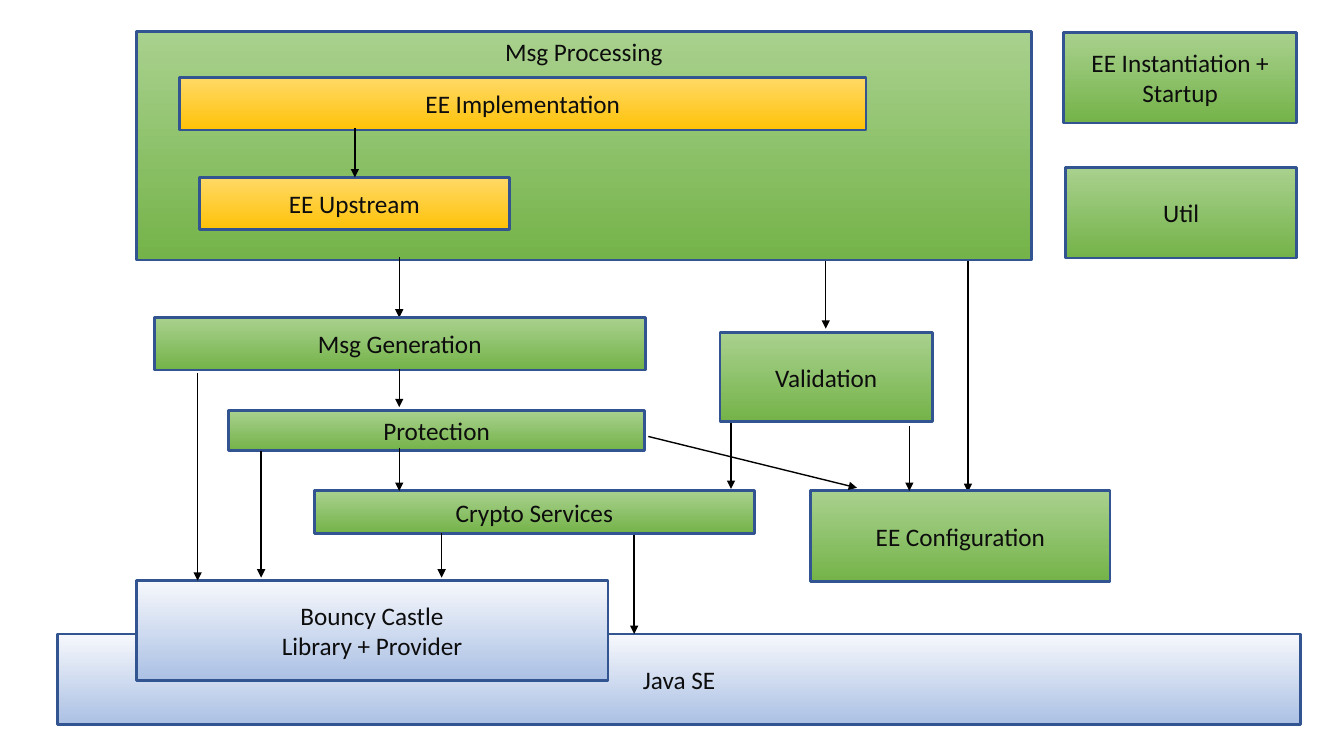
from pptx import Presentation
from pptx.dml.color import RGBColor
from pptx.enum.shapes import MSO_CONNECTOR, MSO_SHAPE
from pptx.enum.text import MSO_ANCHOR, PP_ALIGN
from pptx.oxml.ns import qn
from pptx.util import Pt
from lxml import etree

PX = 9144
PROCESS = MSO_SHAPE.FLOWCHART_PROCESS
STRAIGHT = MSO_CONNECTOR.STRAIGHT
TOP, MIDDLE = MSO_ANCHOR.TOP, MSO_ANCHOR.MIDDLE
CENTER = PP_ALIGN.CENTER
FONT = "Calibri"
DOWNWARD = 270

COLORS = {
    "green_top": "A9D18E", "green_bottom": "74B349",
    "amber_top": "FFD966", "amber_bottom": "FFC208",
    "blue_top": "F6F8FC", "blue_bottom": "ABC0E4",
    "outline": "325490", "text": "0D0D0D", "arrow": "000000",
}


def color(name):
    """Return the named palette colour."""
    return RGBColor.from_string(COLORS[name])


def add_component(slide, region, box, lines, tone="green", anchor=MIDDLE):
    """Add a labelled gradient box, placed relative to its region."""
    left, top, width, height = box
    shape = slide.shapes.add_shape(
        PROCESS, (region[0] + left) * PX, (region[1] + top) * PX, width * PX, height * PX)
    shape.shadow.inherit = False
    shape.fill.gradient()
    shape.fill.gradient_angle = DOWNWARD
    for stop, end in zip(shape.fill.gradient_stops, ("top", "bottom")):
        stop.color.rgb = color(f"{tone}_{end}")
    shape.line.color.rgb = color("outline")
    shape.line.width = Pt(2)
    frame = shape.text_frame
    frame.word_wrap = True
    frame.vertical_anchor = anchor
    for index, line in enumerate(lines):
        paragraph = frame.add_paragraph() if index else frame.paragraphs[0]
        paragraph.alignment = CENTER
        run = paragraph.add_run()
        run.text = line
        run.font.name = FONT
        run.font.size = Pt(18)
        run.font.color.rgb = color("text")


def add_arrow(slide, region, start, end):
    """Add a dependency arrow between two points of a region."""
    left, top = region[:2]
    connector = slide.shapes.add_connector(
        STRAIGHT, (left + start[0]) * PX, (top + start[1]) * PX,
        (left + end[0]) * PX, (top + end[1]) * PX)
    connector.line.color.rgb = color("arrow")
    connector.line.width = Pt(1)
    properties = connector.line._get_or_add_ln()
    etree.SubElement(properties, qn("a:tailEnd"), type="triangle")
    etree.SubElement(connector._element.spPr, qn("a:effectLst"))


def add_down_arrows(slide, region, arrows):
    """Add vertical arrows given as x, top and bottom."""
    for x, top, bottom in arrows:
        add_arrow(slide, region, (x, top), (x, bottom))


def draw_platform(slide, region):
    """Draw the Java platform with the crypto library resting on it."""
    add_component(slide, region, (0, 53, region[2], 90), ["Java SE"], "blue")
    add_component(slide, region, (78, 0, 468, 99),
                  ["Bouncy Castle", "Library + Provider"], "blue")


def draw_processing(slide, region):
    """Draw message processing with its two nested parts."""
    add_component(slide, region, (0, 0, region[2], region[3]),
                  ["Msg Processing"], anchor=TOP)
    add_component(slide, region, (43, 46, 681, 52), ["EE Implementation"], "amber")
    add_component(slide, region, (63, 145, 307, 52), ["EE Upstream"], "amber")
    add_down_arrows(slide, region, [
        (217, 96, 145), (261, 224, 284), (684, 228, 295), (825, 228, 457)])


def draw_layers(slide, region):
    """Draw the generation, protection and crypto layers with their arrows."""
    add_component(slide, region, (0, 0, 487, 52), ["Msg Generation"])
    add_component(slide, region, (74, 92, 412, 40), ["Protection"])
    add_component(slide, region, (159, 172, 436, 42), ["Crypto Services"])
    add_down_arrows(slide, region, [
        (243, 51, 89), (243, 129, 172), (43, 55, 261), (106, 132, 258),
        (285, 214, 258), (476, 216, 314)])


def draw_checks(slide, region):
    """Draw validation and configuration with the arrows between them."""
    add_component(slide, region, (90, 157, 297, 90), ["EE Configuration"])
    add_component(slide, region, (0, 0, 211, 88), ["Validation"])
    add_down_arrows(slide, region, [(11, 90, 155), (188, 93, 157)])
    add_arrow(slide, region, (-71, 103), (136, 154))


def draw_helpers(slide, region):
    """Draw the two standalone components."""
    add_component(slide, region, (0, 0, 231, 90), ["EE Instantiation + Startup"])
    add_component(slide, region, (2, 134, 229, 90), ["Util"])


def main():
    """Build and save the component diagram."""
    presentation = Presentation()
    presentation.slide_width = 1333 * PX
    presentation.slide_height = 750 * PX
    slide = presentation.slides.add_slide(presentation.slide_layouts[6])
    draw_platform(slide, (57, 576, 1233, 143))
    draw_processing(slide, (135, 31, 888, 227))
    draw_layers(slide, (153, 315, 595, 214))
    draw_checks(slide, (714, 330, 387, 247))
    draw_helpers(slide, (1055, 32, 231, 224))
    presentation.save("out.pptx")


if __name__ == "__main__":
    main()
